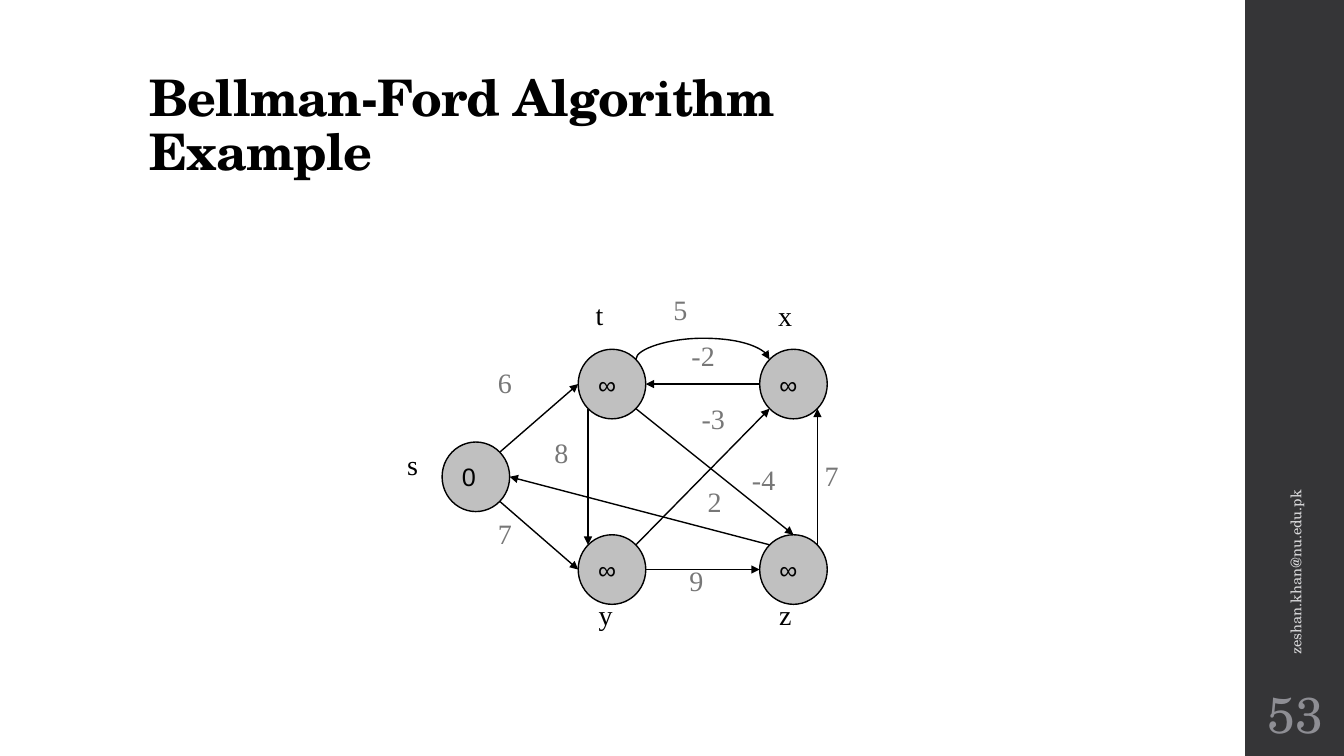
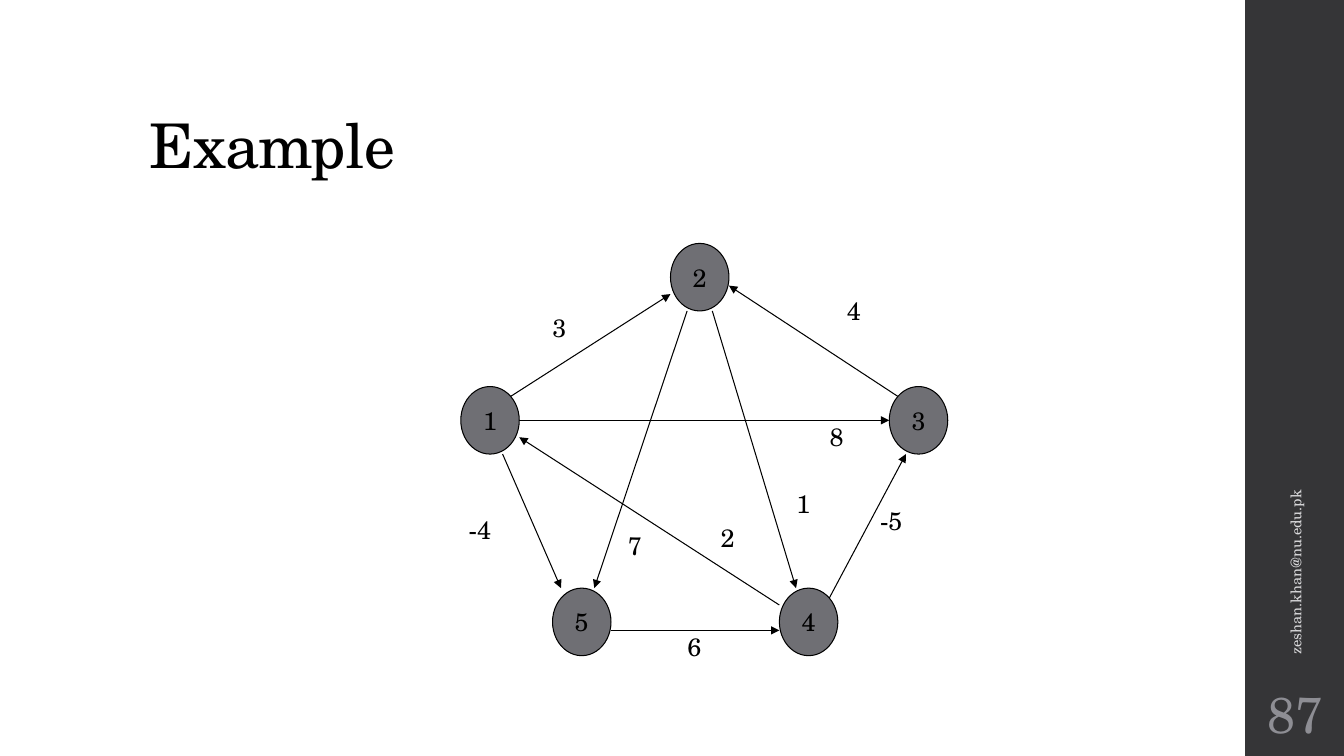
from lxml.etree import SubElement
from pptx import Presentation
from pptx.dml.color import RGBColor
from pptx.enum.shapes import MSO_CONNECTOR, MSO_SHAPE
from pptx.enum.text import MSO_ANCHOR, PP_ALIGN
from pptx.oxml.ns import qn
from pptx.util import Inches, Pt

SLIDE_WIDTH, SLIDE_HEIGHT = 13.33, 7.5
BAND_WIDTH = 1
BAND_LEFT = SLIDE_WIDTH - BAND_WIDTH + 0.02
BAND_CENTER = BAND_LEFT + BAND_WIDTH / 2

BLACK = RGBColor(0x00, 0x00, 0x00)
BAND_GRAY = RGBColor(0x35, 0x35, 0x37)
EMAIL_GRAY = RGBColor(0xD9, 0xD9, 0xDB)
NUMBER_GRAY = RGBColor(0x8E, 0x8E, 0x94)
WEIGHT_GRAY = RGBColor(0x77, 0x77, 0x77)
LIGHT_NODE = RGBColor(0xC0, 0xC0, 0xC0)
DARK_NODE = RGBColor(0x6F, 0x6F, 0x74)

SCHOLA, TIMES, ARIAL = "TeX Gyre Schola", "Times New Roman", "Arial"

# Points on a node's outline, as shares of its half width and half height
NORTH, SOUTH, WEST, EAST = (0, -1), (0, 1), (-1, 0), (1, 0)
NW, NE, SW, SE = (-0.71, -0.71), (0.71, -0.71), (-0.71, 0.71), (0.71, 0.71)


def add_span(para, text, font, size, color, bold=False):
    span = para.add_run()
    span.text = text
    span.font.name = font
    span.font.size = Pt(size)
    span.font.color.rgb = color
    span.font.bold = bold
    return span


def add_text(page, place, text, font, size, color,
             anchor=MSO_ANCHOR.TOP, align=PP_ALIGN.LEFT):
    box = page.shapes.add_textbox(*map(Inches, place))
    frame = box.text_frame
    frame.word_wrap = True
    frame.vertical_anchor = anchor
    para = frame.paragraphs[0]
    para.alignment = align
    add_span(para, text, font, size, color)
    return box


def add_band(layout, page):
    """Draw the side band and move it to the layout, where all slides show it."""
    band = page.shapes.add_shape(MSO_SHAPE.RECTANGLE, Inches(BAND_LEFT), 0,
                                 Inches(BAND_WIDTH), Inches(SLIDE_HEIGHT))
    band.shadow.inherit = False
    band.fill.solid()
    band.fill.fore_color.rgb = BAND_GRAY
    band.line.fill.background()
    layout.shapes.element.insert(2, band.element)


def set_title(page, lines, size, bold):
    title = page.shapes.title
    title.left, title.top = Inches(1.38), Inches(0.4)
    title.width, title.height = Inches(10.6), Inches(1.45)
    frame = title.text_frame
    frame.word_wrap = True
    frame.vertical_anchor = MSO_ANCHOR.BOTTOM
    para = frame.paragraphs[0]
    para.alignment = PP_ALIGN.LEFT
    para.line_spacing = 0.9
    for index, line in enumerate(lines):
        if index:
            para.add_line_break()
        span = add_span(para, line, SCHOLA, size, BLACK, bold)
        span.font._element.set("spc", "-50")


def add_footer(page, number):
    length, thickness = 3.92, 0.4
    email = add_text(page, (BAND_CENTER - length / 2, 4.43, length, thickness),
                     "zeshan.khan@nu.edu.pk", SCHOLA, 10.5, EMAIL_GRAY,
                     MSO_ANCHOR.MIDDLE)
    email.rotation = 270
    box = add_text(page, (BAND_LEFT, 6.75, BAND_WIDTH, 0.65), number, SCHOLA,
                   36, NUMBER_GRAY, MSO_ANCHOR.MIDDLE, PP_ALIGN.CENTER)
    frame = box.text_frame
    frame.margin_left = frame.margin_right = Inches(0.05)


def add_node(page, center, size, text, font, fill, line_width, align):
    (x, y), (width, height) = center, size
    node = page.shapes.add_shape(
        MSO_SHAPE.OVAL, Inches(x - width / 2), Inches(y - height / 2),
        Inches(width), Inches(height))
    node.shadow.inherit = False
    node.fill.solid()
    node.fill.fore_color.rgb = fill
    node.line.color.rgb = BLACK
    node.line.width = Pt(line_width)
    frame = node.text_frame
    frame.word_wrap = False
    frame.vertical_anchor = MSO_ANCHOR.MIDDLE
    para = frame.paragraphs[0]
    para.alignment = align
    add_span(para, text, font, 18, BLACK)


def outline_point(center, size, side):
    return [middle + share * extent / 2
            for middle, extent, share in zip(center, size, side)]


def style_arrow(arrow, line_width):
    arrow.line.color.rgb = BLACK
    arrow.line.width = Pt(line_width)
    properties = arrow.element.spPr
    SubElement(properties.find(qn("a:ln")), qn("a:tailEnd"), type="triangle")
    SubElement(properties, qn("a:effectLst"))


def add_edges(page, nodes, size, edges, line_width):
    for source, source_side, target, target_side in edges:
        ends = (outline_point(nodes[source], size, source_side)
                + outline_point(nodes[target], size, target_side))
        arrow = page.shapes.add_connector(MSO_CONNECTOR.STRAIGHT,
                                          *map(Inches, ends))
        style_arrow(arrow, line_width)


def add_arch(page, start, end, rise, line_width):
    """Curve upwards between two points of equal height.

    The connector is a thin upright one turned by 90 degrees; its
    adjustment is the rise as a multiple of its thickness.
    """
    thickness = 0.0025
    x, y = (start[0] + end[0]) / 2, start[1]
    half = (end[0] - start[0]) / 2
    arrow = page.shapes.add_connector(
        MSO_CONNECTOR.CURVE, Inches(x - thickness / 2), Inches(y + half),
        Inches(x + thickness / 2), Inches(y - half))
    properties = arrow.element.spPr
    properties.find(qn("a:xfrm")).set("rot", str(90 * 60000))
    geometry = properties.find(qn("a:prstGeom"))
    guides = geometry.find(qn("a:avLst"))
    if guides is None:
        guides = SubElement(geometry, qn("a:avLst"))
    SubElement(guides, qn("a:gd"), name="adj1",
               fmla=f"val {round(-rise / thickness * 100000)}")
    style_arrow(arrow, line_width)


def add_labels(page, labels, size, font, points, color):
    for text, left, top in labels:
        add_text(page, (left, top, *size), text, font, points, color)


def draw_bellman_ford(page):
    size, line_width = (0.67, 0.69), 1
    left, top, column, row = 4.72, 3.81, 0.45, 0.92
    grid = {"t": (3, 0), "x": (7, 0), "y": (3, 2), "z": (7, 2), "s": (0, 1)}
    nodes = {name: (left + across * column, top + down * row)
             for name, (across, down) in grid.items()}
    for name, center in nodes.items():
        add_node(page, center, size, "0" if name == "s" else "∞", ARIAL,
                 LIGHT_NODE, line_width, PP_ALIGN.LEFT)
    add_edges(page, nodes, size, [
        ("t", SW, "y", NW), ("y", NE, "x", SW), ("z", NE, "x", SE),
        ("y", EAST, "z", WEST), ("z", NW, "s", EAST), ("s", SE, "y", WEST),
        ("s", NE, "t", WEST), ("x", WEST, "t", EAST), ("t", SE, "z", NORTH),
    ], line_width)
    add_arch(page, outline_point(nodes["t"], size, NE),
             outline_point(nodes["x"], size, NW), 0.22, line_width)
    label_size = (0.67, 0.43)
    add_labels(page, [
        ("s", 3.94, 4.39), ("z", 7.63, 5.88), ("y", 5.84, 5.88),
        ("x", 7.62, 2.91), ("t", 5.81, 2.9),
    ], label_size, TIMES, 20, BLACK)
    add_labels(page, [
        ("5", 6.58, 2.85), ("6", 4.84, 3.58), ("7", 4.84, 5.08),
        ("8", 5.4, 4.27), ("-3", 6.86, 3.93), ("7", 8.08, 4.5),
        ("2", 6.92, 4.76), ("9", 6.74, 5.54), ("-2", 6.76, 3.31),
        ("-4", 7.36, 4.54),
    ], label_size, TIMES, 20, WEIGHT_GRAY)


def draw_pentagon(page):
    size, line_width = (0.58, 0.67), 0.75
    nodes = {"1": (4.86, 4.17), "5": (5.77, 6.17), "4": (8.02, 6.17),
             "3": (9.11, 4.17), "2": (6.94, 2.75)}
    for name, center in nodes.items():
        add_node(page, center, size, name, SCHOLA, DARK_NODE, line_width,
                 PP_ALIGN.CENTER)
    add_edges(page, nodes, size, [
        ("1", (0.43, 1), "5", (-0.71, -1)), ("1", NE, "2", (-1, 0.5)),
        ("3", NW, "2", (1, 0.25)), ("1", EAST, "3", WEST),
        ("5", (1, 0.25), "4", (-1, 0.25)), ("4", NE, "3", (-0.43, 1)),
        ("2", (-0.43, 1), "5", (0.43, -1)), ("2", (0.43, 1), "4", (-0.43, -1)),
        ("4", (-1, -0.5), "1", (1, 0.5)),
    ], line_width)
    add_labels(page, [
        ("3", 5.38, 3.05), ("4", 8.3, 2.88), ("7", 6.13, 5.21),
        ("-4", 4.55, 5.05), ("8", 8.13, 4.13), ("1", 7.8, 4.8),
        ("-5", 8.63, 4.96), ("2", 7.05, 5.13), ("6", 6.72, 6.21),
    ], (0.48, 0.5), SCHOLA, 18, BLACK)


def main():
    deck = Presentation()
    deck.slide_width, deck.slide_height = Inches(SLIDE_WIDTH), Inches(SLIDE_HEIGHT)
    layout = deck.slide_layouts.get_by_name("Title Only")
    slides = [
        (["Bellman-Ford Algorithm", "Example"], 36, True, "53", draw_bellman_ford),
        (["Example"], 44, False, "87", draw_pentagon),
    ]
    for lines, size, bold, number, draw in slides:
        page = deck.slides.add_slide(layout)
        set_title(page, lines, size, bold)
        add_footer(page, number)
        draw(page)
    add_band(layout, deck.slides[0])
    deck.save("out.pptx")


if __name__ == "__main__":
    main()
